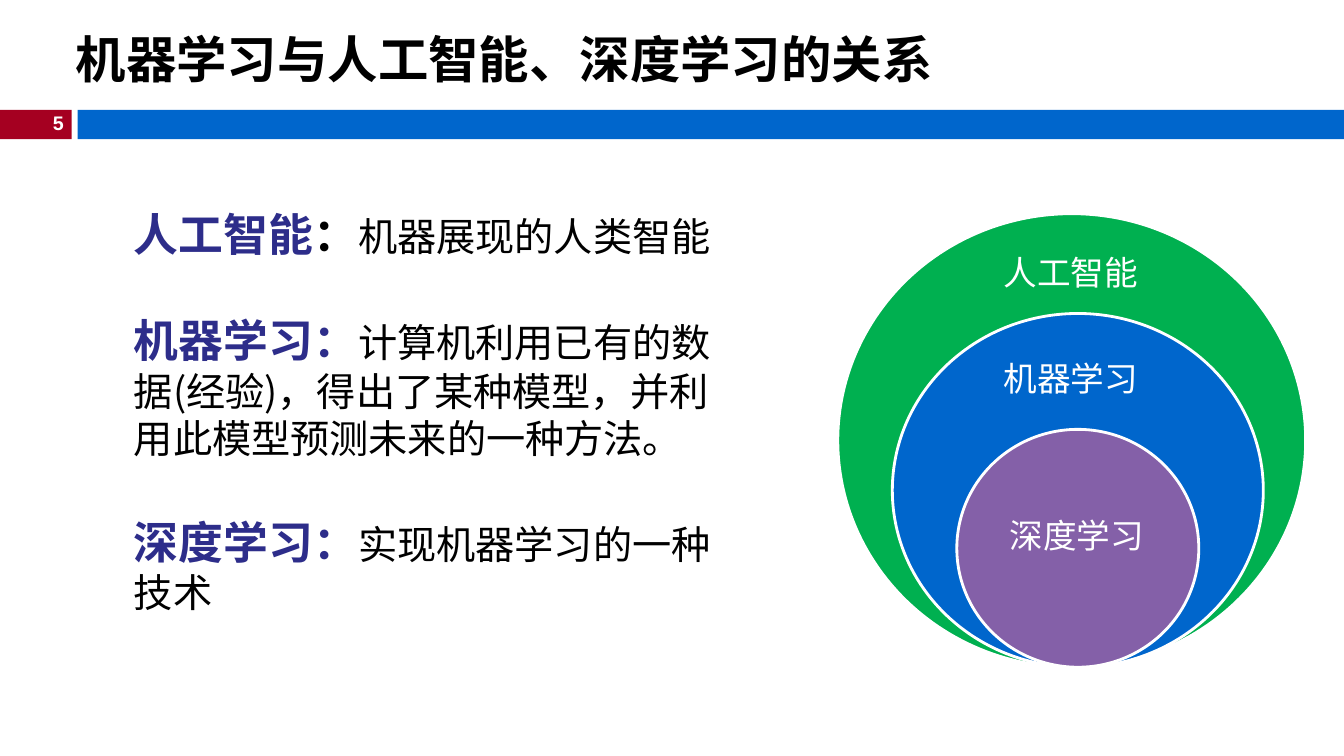
"""Build a slide on how machine learning relates to AI and deep learning."""
from dataclasses import dataclass

from lxml import etree
from pptx import Presentation
from pptx import util as u
from pptx.dml.color import RGBColor
from pptx.enum import shapes, text
from pptx.oxml import ns

TITLE = "机器学习与人工智能、深度学习的关系"
PAGE_NUMBER = "5"
DEFINITIONS = [
    [("人工智能", "term"), ("：", "colon"), ("机器展现的人类智能", "meaning")],
    [("机器学习：", "term"),
     ("计算机利用已有的数据(经验)，得出了某种模型，并利用此模型预测未来的一种方法。", "meaning")],
    [("深度学习：", "term"), ("实现机器学习的一种技术", "meaning")],
]
RINGS = [
    dict(label="人工智能", fill="00B050", center=10.63, size=(4.64, 4.5), label_at=(10.63, 2.7)),
    dict(label="机器学习", fill="0066CC", center=10.69, size=(3.68, 3.51), label_at=(10.63, 3.75)),
    dict(label="深度学习", fill="8460A8", center=10.69, size=(2.4, 2.36), label_at=(10.69, 5.31)),
]
WIDTH, HEIGHT = 13.33, 7.5
BAR_TOP, BAR_HEIGHT, BAR_SPLIT, BAR_GAP = 1.09, 0.29, 0.71, 0.06
RING_BOTTOM = 6.62
LABEL_SIZE = (1.55, 0.5)


@dataclass(frozen=True)
class Theme:
    """Colours, fonts and type sizes of the slide."""
    black: str = "000000"
    white: str = "FFFFFF"
    red: str = "A50021"
    blue: str = "0066CC"
    navy: str = "2D2D8A"
    latin: str = "Arial"
    chinese: str = "Noto Sans CJK SC"
    title: int = 36
    term: int = 32
    meaning: int = 28
    label: int = 24
    number: int = 14
    pitch: int = 34
    gap: int = 42


THEME = Theme()
STYLES = {
    "term": dict(size=THEME.term, color=THEME.navy, bold=True),
    "colon": dict(size=THEME.term, color=THEME.black, bold=True),
    "meaning": dict(size=THEME.meaning, color=THEME.black),
}


def add_text(para, content, size, color, bold=False, font=THEME.chinese):
    """Append a formatted span to a paragraph."""
    span = para.add_run()
    span.text = content
    span.font.size = u.Pt(size)
    span.font.bold = bold
    span.font.name = font
    span.font.color.rgb = RGBColor.from_string(color)
    east_asian = etree.SubElement(span.font._element, ns.qn("a:ea"))
    east_asian.set("typeface", THEME.chinese)


def add_box(page, left, top, width, height, anchor=text.MSO_ANCHOR.MIDDLE, wrap=False):
    """Add a text box and return its frame."""
    box = page.shapes.add_textbox(*map(u.Inches, (left, top, width, height)))
    frame = box.text_frame
    frame.word_wrap = wrap
    frame.vertical_anchor = anchor
    return frame


def add_filled(page, kind, left, top, width, height, fill, line=None):
    """Add a flat preset shape with an optional outline."""
    shape = page.shapes.add_shape(kind, *map(u.Inches, (left, top, width, height)))
    shape.shadow.inherit = False
    shape.fill.solid()
    shape.fill.fore_color.rgb = RGBColor.from_string(fill)
    if line:
        shape.line.color.rgb = RGBColor.from_string(line)
        shape.line.width = u.Pt(2)
    else:
        shape.line.fill.background()


def add_header(page):
    """Place the title, the two bars and the page number."""
    title = page.shapes.title
    title.left, title.top, title.width, title.height = map(u.Inches, (0.65, 0.08, 9.54, 1))
    frame = title.text_frame
    frame.auto_size = text.MSO_AUTO_SIZE.NONE
    frame.vertical_anchor = text.MSO_ANCHOR.MIDDLE
    para = frame.paragraphs[0]
    para.alignment = text.PP_ALIGN.LEFT
    add_text(para, TITLE, THEME.title, THEME.black, bold=True, font=THEME.latin)
    blue_left = BAR_SPLIT + BAR_GAP
    for left, width, fill in [(0, BAR_SPLIT, THEME.red),
                              (blue_left, WIDTH - blue_left, THEME.blue)]:
        add_filled(page, shapes.MSO_SHAPE.RECTANGLE, left, BAR_TOP, width, BAR_HEIGHT, fill)
    para = add_box(page, 0.29, 1.05, 0.44, 0.34).paragraphs[0]
    para.alignment = text.PP_ALIGN.RIGHT
    add_text(para, PAGE_NUMBER, THEME.number, THEME.white, bold=True, font=THEME.latin)


def add_definitions(page):
    """Write one paragraph for each definition."""
    frame = add_box(page, 1.23, 2.06, 6.16, 4.2, anchor=text.MSO_ANCHOR.TOP, wrap=True)
    for index, spans in enumerate(DEFINITIONS):
        para = frame.add_paragraph() if index else frame.paragraphs[0]
        para.line_spacing = u.Pt(THEME.pitch)
        para.space_before = u.Pt(THEME.gap if index else 0)
        for content, style in spans:
            add_text(para, content, **STYLES[style])


def add_rings(page):
    """Nest the ellipses on a shared bottom edge and label them."""
    for ring in RINGS:
        width, height = ring["size"]
        add_filled(page, shapes.MSO_SHAPE.OVAL, ring["center"] - width / 2,
                   RING_BOTTOM - height, width, height, ring["fill"], line=THEME.white)
    width, height = LABEL_SIZE
    for ring in RINGS:
        x, y = ring["label_at"]
        frame = add_box(page, x - width / 2, y - height / 2, width, height)
        add_text(frame.paragraphs[0], ring["label"], THEME.label, THEME.white)


def main():
    """Assemble and save the deck."""
    deck = Presentation()
    deck.slide_width, deck.slide_height = u.Inches(WIDTH), u.Inches(HEIGHT)
    page = deck.slides.add_slide(deck.slide_layouts[5])
    add_header(page)
    add_definitions(page)
    add_rings(page)
    deck.save("out.pptx")


if __name__ == "__main__":
    main()
